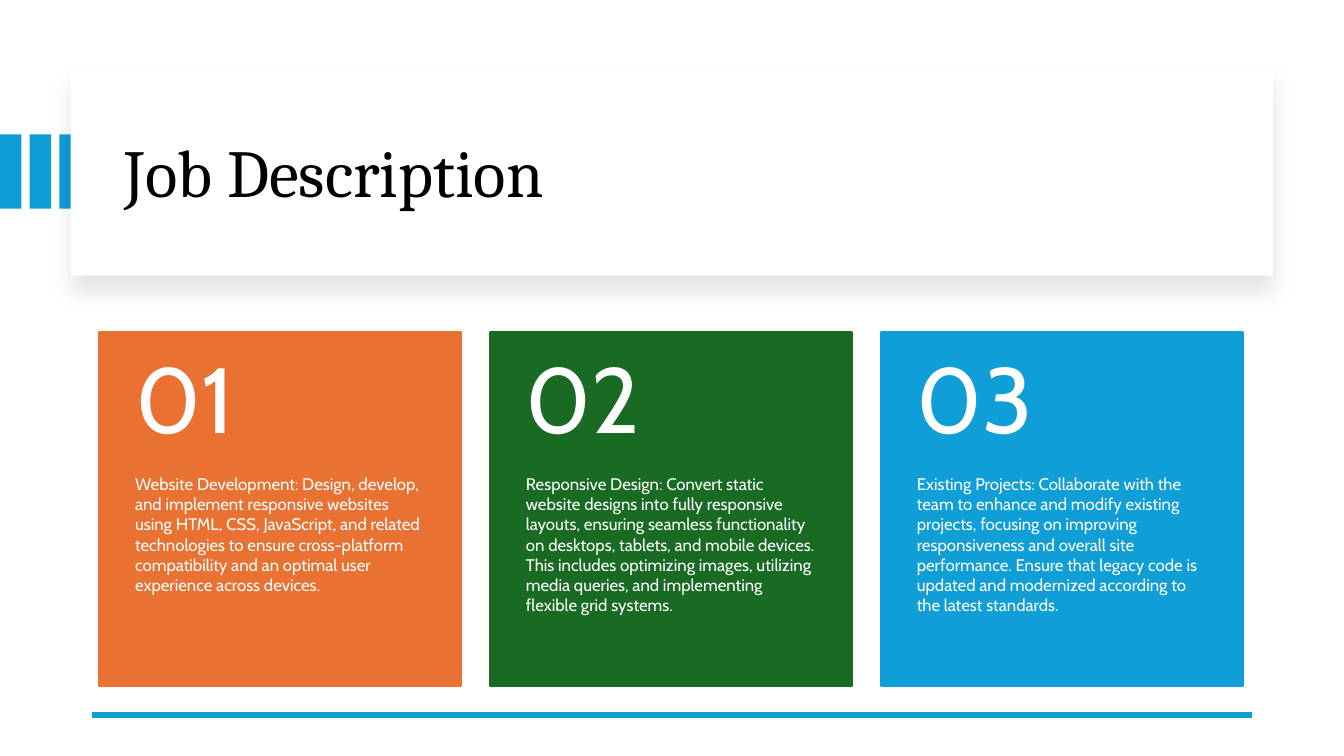
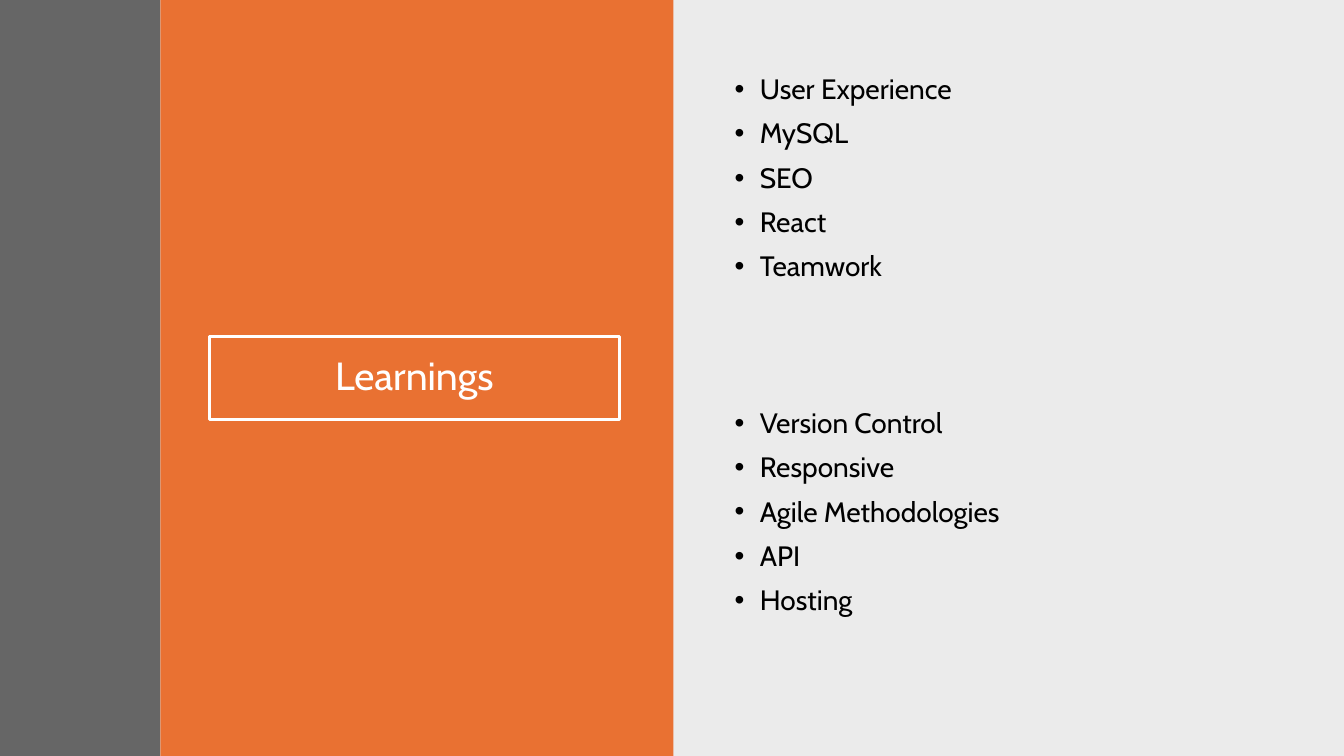
from lxml.etree import SubElement
from pptx import Presentation
from pptx.dml.color import RGBColor
from pptx.enum.shapes import MSO_CONNECTOR, MSO_SHAPE
from pptx.enum.text import MSO_ANCHOR, PP_ALIGN
from pptx.oxml.ns import qn
from pptx.util import Pt

WIDTH, HEIGHT = 960, 540
ORANGE, GREEN, BLUE = "E97132", "196B24", "0F9ED5"
WHITE, BLACK, GRAY = "FFFFFF", "000000", "404040"

DEFAULT_INSETS = (7.2, 3.6, 7.2, 3.6)
TITLE = {"name": "Cambria", "size": Pt(48)}
FRAMED_TITLE = {"name": "Cabin", "size": Pt(28)}
NUMBER = {"name": "Cabin", "size": Pt(66)}
DETAIL = {"name": "Cabin", "size": Pt(12)}
LIST_ITEM = {"name": "Cabin", "size": Pt(20)}

DUTIES = [
    (ORANGE, "Website Development: Design, develop, and implement responsive "
             "websites using HTML, CSS, JavaScript, and related technologies to "
             "ensure cross-platform compatibility and an optimal user experience "
             "across devices."),
    (GREEN, "Responsive Design: Convert static website designs into fully "
            "responsive layouts, ensuring seamless functionality on desktops, "
            "tablets, and mobile devices. This includes optimizing images, "
            "utilizing media queries, and implementing flexible grid systems."),
    (BLUE, "Existing Projects: Collaborate with the team to enhance and modify "
           "existing projects, focusing on improving responsiveness and overall "
           "site performance. Ensure that legacy code is updated and modernized "
           "according to the latest standards."),
]
LEARNINGS = [
    ["User Experience", "MySQL", "SEO", "React", "Teamwork"],
    ["Version Control", "Responsive", "Agile Methodologies", "API", "Hosting"],
]


def paint(target, color, alpha=None):
    """Colour a fill, line fill or font; alpha is an opacity in percent."""
    if hasattr(target, "solid"):
        target.solid()
        rgb = target.fore_color
    else:
        rgb = target.color
    rgb.rgb = RGBColor.from_string(color)
    if alpha is not None:
        tint = target._xPr.find(qn("a:solidFill"))[0]
        SubElement(tint, qn("a:alpha"), val=str(alpha * 1000))


def add_rect(slide, box, fill=None, alpha=None, outline=None, weight=1.5):
    rect = slide.shapes.add_shape(MSO_SHAPE.RECTANGLE, *map(Pt, box))
    rect.shadow.inherit = False
    if fill:
        paint(rect.fill, fill, alpha)
    else:
        rect.fill.background()
    if outline:
        paint(rect.line.fill, outline)
        rect.line.width = Pt(weight)
    else:
        rect.line.fill.background()
    return rect


def add_soft_shadow(shape):
    effects = shape._element.spPr.find(qn("a:effectLst"))
    shadow = SubElement(effects, qn("a:outerShdw"), blurRad=str(Pt(15)),
                        dist=str(Pt(11)), dir="5400000", algn="t", rotWithShape="0")
    color = SubElement(shadow, qn("a:srgbClr"), val=BLACK)
    SubElement(color, qn("a:alpha"), val="10000")


def add_bullet(paragraph):
    properties = paragraph._p.get_or_add_pPr()
    properties.set("marL", str(Pt(18)))
    properties.set("indent", str(Pt(-18)))
    SubElement(properties, qn("a:buFont"), typeface="Arial")
    SubElement(properties, qn("a:buChar"), char="•")


def write(shape, lines, style, color, anchor=MSO_ANCHOR.TOP, align=PP_ALIGN.LEFT,
          insets=DEFAULT_INSETS, spacing=0.9, gap=0, bullets=False):
    frame = shape.text_frame
    frame.word_wrap = True
    frame.vertical_anchor = anchor
    for side, inset in zip(("left", "top", "right", "bottom"), insets):
        setattr(frame, f"margin_{side}", Pt(inset))
    for index, line in enumerate(lines):
        paragraph = frame.add_paragraph() if index else frame.paragraphs[0]
        if bullets:
            add_bullet(paragraph)
        paragraph.alignment = align
        paragraph.line_spacing = spacing
        paragraph.space_before = Pt(gap if index else 0)
        run = paragraph.add_run()
        run.text = line
        for attribute, value in style.items():
            setattr(run.font, attribute, value)
        paint(run.font, color)


def add_text(slide, box, lines, style, color, **layout):
    write(slide.shapes.add_textbox(*map(Pt, box)), lines, style, color, **layout)


def add_rule(slide, left, right, y, color, weight):
    rule = slide.shapes.add_connector(MSO_CONNECTOR.STRAIGHT,
                                      Pt(left), Pt(y), Pt(right), Pt(y))
    paint(rule.line.fill, color)
    rule.line.width = Pt(weight)
    SubElement(rule._element.spPr, qn("a:effectLst"))


def add_duty_card(slide, left, number, color, detail):
    top, width, height, number_height = 237.5, 258.4, 252.6, 101
    add_rect(slide, (left, top, width, height), color, outline=color)
    add_text(slide, (left, top + number_height, width, height - number_height),
             [detail], DETAIL, WHITE, insets=(25.5, 0, 25.5, 26), spacing=1)
    add_text(slide, (left, top, width, number_height), [f"{number:02}"], NUMBER,
             WHITE, anchor=MSO_ANCHOR.MIDDLE, insets=(25.5, 13, 25.5, 13))


def build_job_description(slide):
    for stripe in range(3):
        add_rect(slide, (stripe * 21.2, 96, 15.3, 53), BLUE)
    add_soft_shadow(add_rect(slide, (50.5, 48, 859, 149), WHITE))
    add_text(slide, (82, 64, 801.5, 122.5), ["Job Description"], TITLE, BLACK,
             anchor=MSO_ANCHOR.MIDDLE)
    add_rule(slide, 66, 894, 510.5, BLUE, 4.5)
    for index, (color, detail) in enumerate(DUTIES):
        add_duty_card(slide, 71 + index * 279.2, index + 1, color, detail)


def build_learnings(slide):
    side_edge, middle = 114.5, WIDTH / 2
    panel_edge = 481
    add_rect(slide, (middle, 0, WIDTH - middle, HEIGHT), BLACK, alpha=8)
    add_rect(slide, (side_edge, 0, panel_edge - side_edge, HEIGHT), ORANGE)
    add_rect(slide, (0, 0, side_edge, HEIGHT), GRAY, alpha=80)
    frame = add_rect(slide, (149.5, 240.3, 293, 59.5), outline=WHITE, weight=2)
    write(frame, ["Learnings"], FRAMED_TITLE, WHITE,
          anchor=MSO_ANCHOR.MIDDLE, align=PP_ALIGN.CENTER)
    for index, topics in enumerate(LEARNINGS):
        add_text(slide, (517.7, 50.4 + index * 238.5, 398, 201), topics, LIST_ITEM,
                 BLACK, gap=10, bullets=True)


def main():
    deck = Presentation()
    deck.slide_width, deck.slide_height = Pt(WIDTH), Pt(HEIGHT)
    for build in (build_job_description, build_learnings):
        slide = deck.slides.add_slide(deck.slide_layouts[6])
        paint(slide.background.fill, WHITE)
        build(slide)
    deck.save("out.pptx")


if __name__ == "__main__":
    main()
